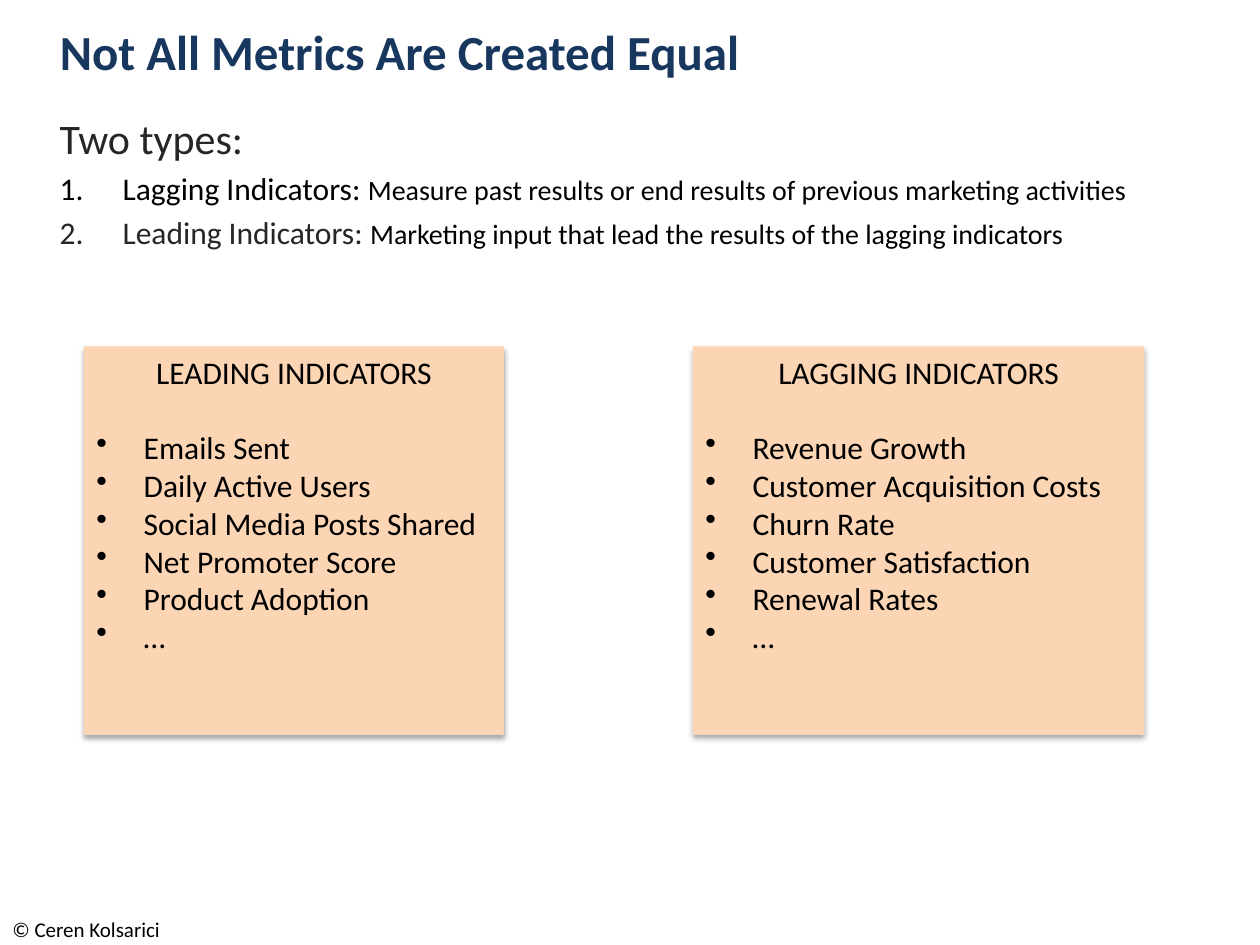
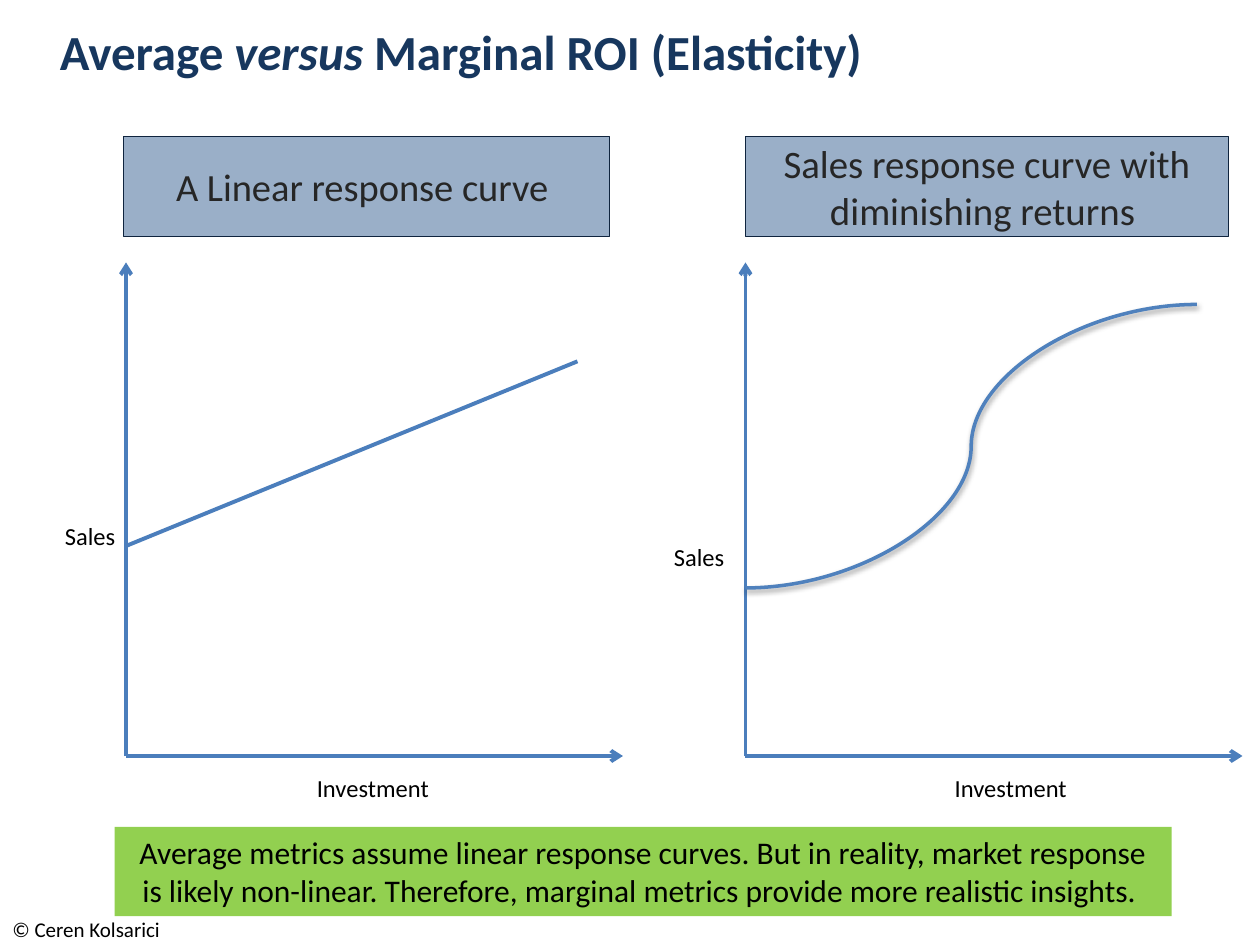
"""Build two slides on marketing metrics: indicator types and response curves."""
from lxml import etree
from pptx import Presentation
from pptx.dml.color import RGBColor
from pptx.enum import shapes, text
from pptx.oxml.ns import qn
from pptx.util import Pt

COLOURS = {
    "title": "17375E", "ink": "000000", "soft": "262626", "card": "FCD5B5",
    "header": "376092", "header_edge": "0F243E", "axis": "4B7EBC",
    "curve": "4F81BD", "takeaway": "92D050",
}
FONT = "Calibri"
LEFT, CENTER = text.PP_ALIGN.LEFT, text.PP_ALIGN.CENTER
TOP, MIDDLE = text.MSO_ANCHOR.TOP, text.MSO_ANCHOR.MIDDLE
COPYRIGHT = "© Ceren Kolsarici"

METRICS_TITLE = [("Not All Metrics Are Created Equal", {})]
INTRO = "Two types:"
TYPES = [
    ("Lagging Indicators: ", "ink",
     "Measure past results or end results of previous marketing activities"),
    ("Leading Indicators: ", "soft",
     "Marketing input that lead the results of the lagging indicators"),
]
CARDS = [
    ("LEADING INDICATORS", 48, 240,
     ["Emails Sent", "Daily Active Users", "Social Media Posts Shared",
      "Net Promoter Score", "Product Adoption", "…"]),
    ("LAGGING INDICATORS", 396, 258,
     ["Revenue Growth", "Customer Acquisition Costs", "Churn Rate",
      "Customer Satisfaction", "Renewal Rates", "…"]),
]

ROI_TITLE = [("Average ", {}), ("versus ", {"italic": True}),
             ("Marginal ROI (Elasticity)", {})]
TAKEAWAY = ("Average metrics assume linear response curves. But in reality, market "
            "response is likely non-linear. Therefore, marginal metrics provide "
            "more realistic insights. ")
CHARTS = [
    {"header": "A Linear response curve ", "header_box": (70.5, 78, 278, 57),
     "size": 22, "origin": 72, "sales": (30, 294), "investment": 174,
     "response": ((330, 206.5), (72, 312)), "curved": False},
    {"header": "Sales response curve with diminishing returns ",
     "header_box": (426, 78, 276, 57), "size": 22.2, "origin": 426,
     "sales": (378, 306), "investment": 538.5,
     "response": ((426, 336), (684, 174)), "curved": True},
]
AXIS_TOP, AXIS_BASE, AXIS_WIDTH = 150, 432, 284


def rgb(name):
    return RGBColor.from_string(COLOURS[name])


def add_node(parent, tag, **attributes):
    return etree.SubElement(parent, qn(tag), attributes)


def add_run(paragraph, words, size, colour="ink", **formats):
    run = paragraph.add_run()
    run.text = words
    values = {"name": FONT, "size": Pt(size), "bold": False, "italic": False, **formats}
    for attribute, value in values.items():
        setattr(run.font, attribute, value)
    run.font.color.rgb = rgb(colour)


def add_bullet(paragraph, indent, tag, **attributes):
    properties = paragraph._p.get_or_add_pPr()
    properties.set("marL", str(Pt(indent)))
    properties.set("indent", str(-Pt(indent)))
    add_node(properties, tag, **attributes)


def format_frame(frame, anchor=TOP, wrap=True, align=LEFT):
    for attribute, value in {"vertical_anchor": anchor, "word_wrap": wrap,
                             "auto_size": text.MSO_AUTO_SIZE.NONE}.items():
        setattr(frame, attribute, value)
    first = frame.paragraphs[0]
    first.alignment = align
    return first


def add_text(slide, box, wrap=True):
    frame = slide.shapes.add_textbox(*map(Pt, box)).text_frame
    return frame, format_frame(frame, wrap=wrap)


def add_panel(slide, box, fill, edge=None, anchor=TOP):
    panel = slide.shapes.add_shape(shapes.MSO_SHAPE.RECTANGLE, *map(Pt, box))
    panel.shadow.inherit = False
    panel.fill.solid()
    panel.fill.fore_color.rgb = rgb(fill)
    if edge:
        panel.line.color.rgb = rgb(edge)
        panel.line.width = Pt(0.75)
    else:
        panel.line.fill.background()
    return panel, format_frame(panel.text_frame, anchor, align=CENTER)


def cast_shadow(effects, distance, opacity):
    shadow = add_node(effects, "a:outerShdw", blurRad=str(Pt(3.1)), dist=str(Pt(distance)),
                      dir="5400000", rotWithShape="0")
    colour = add_node(shadow, "a:srgbClr", val=COLOURS["ink"])
    add_node(colour, "a:alpha", val=str(opacity * 1000))


def add_line(slide, start, end, colour="axis", width=2.25, arrow=False, curved=False):
    kind = shapes.MSO_CONNECTOR.CURVE if curved else shapes.MSO_CONNECTOR.STRAIGHT
    line = slide.shapes.add_connector(kind, *map(Pt, (*start, *end)))
    line.line.color.rgb = rgb(colour)
    line.line.width = Pt(width)
    properties = line._element.spPr
    if arrow:
        add_node(properties.find(qn("a:ln")), "a:tailEnd", type="arrow")
    return add_node(properties, "a:effectLst")


def add_slide(deck, title_runs):
    slide = deck.slides.add_slide(deck.slide_layouts[5])
    title = slide.shapes.title
    for side, length in zip(("left", "top", "width", "height"), (27, 3.6, 590, 51)):
        setattr(title, side, Pt(length))
    heading = format_frame(title.text_frame, MIDDLE)
    for words, formats in title_runs:
        add_run(heading, words, 28, "title", **{"bold": True, **formats})
    return slide


def add_copyright(slide):
    _, line = add_text(slide, (0, 520, 390, 20))
    add_run(line, COPYRIGHT, 12)


def build_metrics(deck):
    slide = add_slide(deck, METRICS_TITLE)
    add_copyright(slide)
    frame, intro = add_text(slide, (27, 60.5, 665, 101.5))
    add_run(intro, INTRO, 24, "soft")
    for term, colour, meaning in TYPES:
        line = frame.add_paragraph()
        add_bullet(line, 36, "a:buAutoNum", type="arabicPeriod")
        line.space_before = Pt(3.6)
        add_run(line, term, 18, colour)
        add_run(line, meaning, 16)
    for heading, left, width, indicators in CARDS:
        card, first = add_panel(slide, (left, 198, width, 222), "card")
        cast_shadow(card._element.spPr.find(qn("a:effectLst")), 1.8, 35)
        add_run(first, heading, 18)
        for index, indicator in enumerate(indicators):
            line = card.text_frame.add_paragraph()
            line.alignment = LEFT
            add_bullet(line, 27, "a:buChar", char="•")
            if index == 0:
                line.space_before = Pt(21.6)
            add_run(line, indicator, 18)


def add_response_chart(slide, chart):
    origin = (chart["origin"], AXIS_BASE)
    for end in ((origin[0], AXIS_TOP), (origin[0] + AXIS_WIDTH, AXIS_BASE)):
        add_line(slide, origin, end, arrow=True)
    if chart["curved"]:
        effects = add_line(slide, *chart["response"], "curve", 2, curved=True)
        cast_shadow(effects, 1.6, 38)
    else:
        add_line(slide, *chart["response"])
    for label, box in (("Sales", (*chart["sales"], 44, 24)),
                       ("Investment", (chart["investment"], 438, 80, 24))):
        _, line = add_text(slide, box, wrap=False)
        add_run(line, label, 14)
    header, line = add_panel(slide, chart["header_box"], "header", "header_edge", MIDDLE)
    fill = header._element.spPr.find(qn("a:solidFill"))
    add_node(fill[0], "a:alpha", val="50000")
    add_run(line, chart["header"], chart["size"], "soft")


def build_roi(deck):
    slide = add_slide(deck, ROI_TITLE)
    for chart in CHARTS:
        add_response_chart(slide, chart)
    _, line = add_panel(slide, (65.5, 472.5, 604, 51), "takeaway")
    add_run(line, TAKEAWAY, 18)
    add_copyright(slide)


def main():
    deck = Presentation()
    deck.slide_width, deck.slide_height = Pt(720), Pt(540)
    build_metrics(deck)
    build_roi(deck)
    deck.save("out.pptx")


if __name__ == "__main__":
    main()
